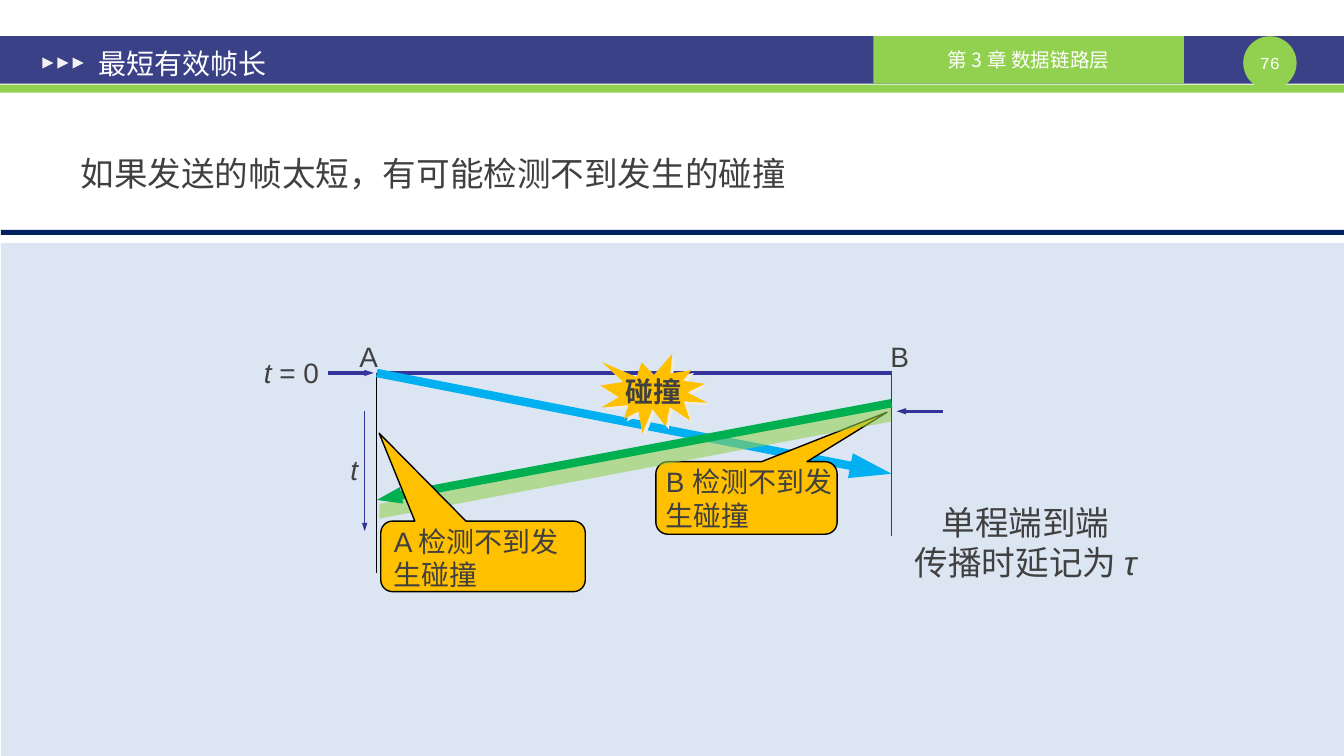
"""Build the slide on the shortest valid frame length and undetected collisions."""
from lxml.etree import SubElement
from pptx import Presentation
from pptx.dml.color import RGBColor
from pptx.enum.shapes import MSO_CONNECTOR, MSO_SHAPE
from pptx.enum.text import MSO_ANCHOR, MSO_AUTO_SIZE, PP_ALIGN
from pptx.oxml.ns import qn
from pptx.util import Inches, Pt

NAVY = RGBColor(0x3A, 0x41, 0x87)
DEEP_BLUE = RGBColor(0x00, 0x20, 0x60)
INDIGO = RGBColor(0x33, 0x33, 0x99)
SKY = RGBColor(0x00, 0xB0, 0xF0)
PALE_BLUE = RGBColor(0xDC, 0xE6, 0xF2)
LIME = RGBColor(0x92, 0xD0, 0x50)
GREEN = RGBColor(0x00, 0xB0, 0x50)
AMBER = RGBColor(0xFF, 0xC0, 0x00)
GREY = RGBColor(0x40, 0x40, 0x40)
NEAR_WHITE = RGBColor(0xF2, 0xF2, 0xF2)
WHITE = RGBColor(0xFF, 0xFF, 0xFF)
BLACK = RGBColor(0x00, 0x00, 0x00)
CJK_FONT = "Noto Sans CJK SC"

deck = Presentation()
deck.slide_width, deck.slide_height = Inches(13.34), Inches(7.5)
COLUMN, ROW = deck.slide_width / 133.4, deck.slide_height / 75
GRID = (COLUMN, ROW, COLUMN, ROW)
slide = deck.slides.add_slide(deck.slide_layouts[1])
shapes = slide.shapes
layers = shapes.element


def draw(geometry, cells, fill, outline=None, adjustments=()):
    """Draw a filled preset shape on the grid."""
    shape = shapes.add_shape(geometry, *(int(n * unit) for n, unit in zip(cells, GRID)))
    shape.shadow.inherit = False
    shape.fill.solid()
    shape.fill.fore_color.rgb = fill
    if outline is None:
        shape.line.fill.background()
    else:
        shape.line.color.rgb = outline
        shape.line.width = Pt(1)
    for index, value in enumerate(adjustments):
        shape.adjustments[index] = value
    return shape


def write(holder, text, size=20, color=GREY, font="Arial", bold=False, align=PP_ALIGN.LEFT,
          anchor=MSO_ANCHOR.TOP, wrap=True, insets=(0.1, 0.05), spacing=1.0):
    """Write lines of text, with the parts between asterisks in italics."""
    frame = holder.text_frame
    frame.word_wrap = wrap
    frame.auto_size = MSO_AUTO_SIZE.NONE
    frame.vertical_anchor = anchor
    frame.margin_left = frame.margin_right = Inches(insets[0])
    frame.margin_top = frame.margin_bottom = Inches(insets[1])
    for row, line in enumerate(text.split("\n")):
        paragraph = frame.add_paragraph() if row else frame.paragraphs[0]
        paragraph.alignment = align
        paragraph.line_spacing = spacing
        paragraph.space_before = Pt(0)
        for part, words in enumerate(line.split("*")):
            if words:
                run = paragraph.add_run()
                run.text = words
                run.font.size = Pt(size)
                run.font.bold = bold
                run.font.italic = part % 2 == 1
                run.font.color.rgb = color
                run.font.name = font
                SubElement(run.font._element, qn("a:ea"), typeface=CJK_FONT)


draw(MSO_SHAPE.RECTANGLE, (0, 3.6, 133.4, 4.7), NAVY)
draw(MSO_SHAPE.RECTANGLE, (0, 8.4, 133.4, 0.8), LIME)
page_badge = draw(MSO_SHAPE.OVAL, (123.4, 3.6, 5.3, 5.3), LIME)
write(page_badge, "76", size=12, color=WHITE, font="Courier New", align=PP_ALIGN.CENTER,
      anchor=MSO_ANCHOR.MIDDLE, wrap=False, insets=(0, 0))
chapter = draw(MSO_SHAPE.RECTANGLE, (86.7, 3.6, 30.8, 4.7), LIME)
write(chapter, "第 3 章 数据链路层", size=14, color=WHITE, font=CJK_FONT,
      align=PP_ALIGN.CENTER, anchor=MSO_ANCHOR.MIDDLE)
for step in range(3):
    marker = draw(MSO_SHAPE.ISOSCELES_TRIANGLE, (4.2 + 1.5 * step, 5.7, 1.1, 1.1), NEAR_WHITE)
    marker.rotation = 90
draw(MSO_SHAPE.RECTANGLE, (0.1, 24.1, 133.3, 50.9), PALE_BLUE)
draw(MSO_SHAPE.RECTANGLE, (0.1, 22.8, 133.3, 0.5), DEEP_BLUE)

title, body = shapes.title, slide.placeholders[1]
for holder, cells in ((title, (8.5, 3.9, 58.3, 4.7)), (body, (6.7, 12.5, 120.1, 55))):
    holder.left, holder.top, holder.width, holder.height = (
        int(n * unit) for n, unit in zip(cells, GRID))
    layers.append(holder.element)
write(title, "最短有效帧长", color=WHITE, anchor=MSO_ANCHOR.MIDDLE, insets=(0.13, 0.07))
body_format = body.text_frame.paragraphs[0]._p.get_or_add_pPr()
body_format.set("marL", "0")
body_format.set("indent", "0")
SubElement(body_format, qn("a:buNone"))
write(body, "如果发送的帧太短，有可能检测不到发生的碰撞", size=24, insets=(0.13, 0.07), spacing=1.5)

STATION_A, STATION_B, START = 37.4, 88.5, 37
SMALL_HEAD, LONG_HEAD = ("sm", "med"), ("med", "lg")
for x1, y1, x2, y2, color, weight, head in (
    (STATION_A, START, STATION_B, START, INDIGO, 3, None),
    (STATION_A, START, STATION_A, 56.8, BLACK, 1, None),
    (STATION_A, START, STATION_B, 47, SKY, 6, LONG_HEAD),
    (36.2, 40.8, 36.2, 52.7, INDIGO, 1, SMALL_HEAD),
    (STATION_B, START, STATION_B, 53.2, INDIGO, 1, None),
    (93.6, 40.8, 89, 40.8, INDIGO, 2.25, SMALL_HEAD),
    (32.6, START, 37.1, START, INDIGO, 2.25, SMALL_HEAD),
    (STATION_B, 40, STATION_A, 49.6, GREEN, 6, SMALL_HEAD),
):
    signal = shapes.add_connector(
        MSO_CONNECTOR.STRAIGHT, *(int(n * unit) for n, unit in zip((x1, y1, x2, y2), GRID)))
    signal.line.color.rgb = color
    signal.line.width = Pt(weight)
    properties = signal.element.spPr
    if head:
        SubElement(properties.find(qn("a:ln")), qn("a:tailEnd"),
                   type="triangle", w=head[0], len=head[1])
    SubElement(properties, qn("a:effectLst"))
reply_signal = signal

collision = draw(MSO_SHAPE.EXPLOSION1, (59.6, 35.1, 10.6, 7.9), AMBER)
write(collision, "碰撞", bold=True, align=PP_ALIGN.CENTER, anchor=MSO_ANCHOR.MIDDLE, wrap=False)
glow = SubElement(collision.element.spPr.find(qn("a:effectLst")), qn("a:outerShdw"),
                  dist=str(Pt(2.8)), dir="2700000", algn="ctr", rotWithShape="0")
SubElement(glow, qn("a:srgbClr"), val="EEECE1")

draw(MSO_SHAPE.ROUNDED_RECTANGULAR_CALLOUT, (65.1, 45.8, 18, 7.2), AMBER, BLACK,
     (0.775, -1.181, 0.167))
reply_frame = draw(MSO_SHAPE.PARALLELOGRAM, (57.5, 20.5, 11.1, 50.8), LIME, adjustments=(0.868,))
reply_frame.rotation = 270
reply_frame.element.spPr.find(qn("a:xfrm")).set("flipV", "1")
SubElement(reply_frame.element.spPr.find(f"{qn('a:solidFill')}/{qn('a:srgbClr')}"),
           qn("a:alpha"), val="58000")
layers.append(reply_signal.element)
draw(MSO_SHAPE.ROUNDED_RECTANGULAR_CALLOUT, (37.8, 51.7, 20.3, 7), AMBER, BLACK,
     (-0.508, -1.746, 0.167))

for text, cells, style in (
    ("A", (34.7, 33.2, 4, 4.3), {"wrap": False}),
    ("B", (87.4, 33.2, 3.9, 4.3), {"wrap": False}),
    ("*t*", (33.8, 44.4, 2.8, 4.3), {"wrap": False}),
    ("*t* = 0", (25.2, 34.8, 7.5, 4.4), {"wrap": False}),
    ("A 检测不到发生碰撞", (38.1, 51.5, 19.5, 7.7), {}),
    ("B 检测不到发生碰撞", (65.1, 45.6, 19.5, 7.7), {}),
    ("单程端到端\n传播时延记为 *τ*", (89.5, 49.3, 24.6, 9.1),
     {"size": 24, "align": PP_ALIGN.CENTER, "wrap": False}),
):
    label = shapes.add_textbox(*(int(n * unit) for n, unit in zip(cells, GRID)))
    write(label, text, **style)

deck.save("out.pptx")
